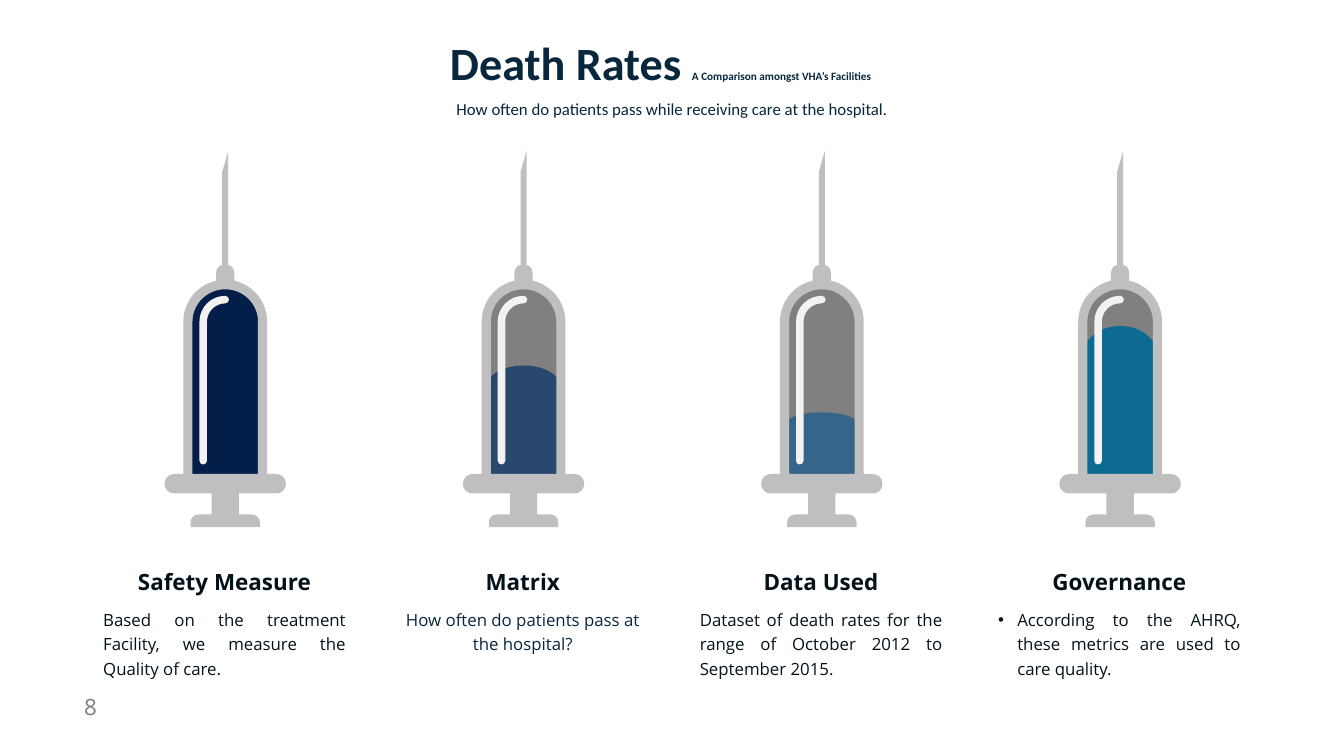
from dataclasses import dataclass
from itertools import chain, islice
from math import ceil, cos, radians, sin, tan

from lxml.etree import SubElement
from pptx import Presentation
from pptx.dml.color import RGBColor as RGB
from pptx.enum.text import MSO_ANCHOR as Anchor, MSO_AUTO_SIZE as AutoSize, PP_ALIGN as Align
from pptx.oxml.ns import qn
from pptx.util import Cm, Pt

COLORS = {
    "title": "08273C", "ink": "03121A", "number": "808080",
    "glass": "BFBFBF", "empty": "808080", "shine": "F2F2F2",
    "navy": "021E49", "indigo": "29486D", "steel": "356689", "teal": "0D6A90",
}
FIRST_AXIS, PITCH = 11.35, 15.03
SHOULDER, BORE_TOP, BORE_END = 16.21, 14.33, 24.0
BODY_WIDTH = 13.44
TEXT_SHIFT = -0.04

# A segment is one point (a line) or three points (a cubic curve).
Segment = tuple[tuple[float, float], ...]
Contour = list[Segment]


@dataclass
class Run:
    text: str
    size: float
    color: str
    font: str = "Open Sans"
    bold: bool = False


@dataclass
class Column:
    heading: str
    heading_width: float
    body: str
    body_height: float
    liquid: str
    level: float
    level_edge: float
    empty: str = "empty"
    align: Align = Align.JUSTIFY
    body_color: str = "ink"
    bullet: bool = False


COLUMNS = [
    Column("Safety Measure", 9.3,
           "Based on the treatment Facility, we measure the Quality of care.", 3.02,
           "navy", BORE_TOP, SHOULDER, empty="ink"),
    Column("Matrix", 4.29, "How often do patients pass at the hospital?", 3.02,
           "indigo", 18.42, 19.51, align=Align.CENTER, body_color="title"),
    Column("Data Used", 6.35,
           "Dataset of death rates for the range of October 2012 to September 2015.", 5.72,
           "steel", 20.78, 21.41),
    Column("Governance", 7.32,
           "According to the AHRQ, these metrics are used to care quality.", 4.27,
           "teal", 16.43, 17.91, bullet=True),
]


def arc(cx: float, cy: float, rx: float, ry: float, start: float, end: float) -> Contour:
    """Curves along an ellipse; angles in degrees run clockwise from the right."""
    count = ceil(abs(end - start) / 90)
    step = radians(end - start) / count
    k = 4 / 3 * tan(step / 4)

    def at(a: float, pull: float = 0) -> tuple[float, float]:
        return cx + rx * (cos(a) - pull * sin(a)), cy + ry * (sin(a) + pull * cos(a))

    angles = [radians(start) + i * step for i in range(count)]
    return [(at(angles[0]),)] + [(at(a, k), at(a + step, -k), at(a + step)) for a in angles]


def mirrored(contour: Contour) -> Contour:
    """The contour flipped about the axis and run backwards."""
    pts = ((-x, y) for x, y in reversed(list(chain(*contour))))
    sizes = [1] + [len(seg) for seg in reversed(contour[1:])]
    return [tuple(islice(pts, n)) for n in sizes]


def dome(half: float, top: float, edge: float, bottom: float) -> Contour:
    """A column with straight sides and a rounded top, centred on the axis."""
    return [((-half, bottom),), *arc(0, edge, half, edge - top, 180, 360), ((half, bottom),)]


def glass_outline() -> Contour:
    """Needle, barrel, flange and plunger: a right half, its mirror and the tip."""
    right = [
        *arc(0.15, 13.79, 0.31, 0.43, -90, 0),
        *arc(0, SHOULDER, 2.11, 2.11, -77.4, 0),
        ((2.11, 23.88),),
        *arc(2.57, 24.38, 0.49, 0.49, -90, 90),
        ((0.69, 24.87),), ((0.69, 25.93),),
        *arc(1.35, 26.33, 0.4, 0.4, -90, 0),
        ((1.75, 26.57),),
    ]
    return right + mirrored(right) + [((-0.15, 8.66),), ((0.15, 7.62),)]


def shine_outline() -> Contour:
    return [
        *arc(0, SHOULDER, 1.3, 1.3, 180, 270),
        *arc(0, 15.1, 0.19, 0.19, -90, 90),
        *arc(0, SHOULDER, 0.92, 0.92, 270, 180),
        *arc(-1.11, 23.22, 0.19, 0.19, 0, 180),
    ]


def draw_outline(shapes, axis: float, color: str, *contours: Contour) -> None:
    """Fill the contours as one shape; a second contour is a hole."""
    builder = None
    for contour in contours:
        pts = [(Cm(axis + x), Cm(y)) for x, y in chain(*contour)]
        if builder is None:
            builder = shapes.build_freeform(*pts[0], scale=1.0)
        else:
            builder.move_to(*pts[0])
        builder.add_line_segments(pts[1:], close=True)
    sp = builder.convert_to_shape()
    bend_curves(sp, contours)
    sp.shadow.inherit = False
    sp.fill.solid()
    sp.fill.fore_color.rgb = RGB.from_string(COLORS[color])
    sp.line.fill.background()


def bend_curves(sp, contours: tuple[Contour, ...]) -> None:
    """Merge the three lines of each curve segment into a cubic Bézier."""
    lines = iter(list(sp._element.iter(qn("a:lnTo"))))
    for seg in chain.from_iterable(contour[1:] for contour in contours):
        first, *rest = islice(lines, len(seg))
        if rest:
            first.tag = qn("a:cubicBezTo")
        for line in rest:
            first.append(line[0])
            line.getparent().remove(line)


def draw_syringe(s, axis: float, col: Column) -> None:
    shapes = s.shapes.add_group_shape().shapes
    draw_outline(shapes, axis, col.empty, dome(1.87, BORE_TOP, SHOULDER, BORE_END))
    draw_outline(shapes, axis, col.liquid, dome(1.87, col.level, col.level_edge, BORE_END))
    draw_outline(shapes, axis, "shine", shine_outline())
    draw_outline(shapes, axis, "glass", glass_outline(), dome(1.65, 14.58, SHOULDER, 23.88))


def add_text(s, box: tuple[float, float, float, float], runs: list[Run],
             align: Align = Align.CENTER, **frame):
    """Add a one-paragraph text box; frame holds text frame attributes."""
    tf = s.shapes.add_textbox(*map(Cm, box)).text_frame
    for name, value in {"word_wrap": True, "auto_size": AutoSize.SHAPE_TO_FIT_TEXT,
                        **frame}.items():
        setattr(tf, name, value)
    p = tf.paragraphs[0]
    p.alignment = align
    for run in runs:
        r = p.add_run()
        r.text = run.text
        for name, value in {"size": Pt(run.size), "name": run.font, "bold": run.bold}.items():
            setattr(r.font, name, value)
        r.font.color.rgb = RGB.from_string(COLORS[run.color])
    return p


def add_bullet(p) -> None:
    pPr = p._p.get_or_add_pPr()
    pPr.set("marL", str(Cm(0.97)))
    pPr.set("indent", str(Cm(-0.97)))
    SubElement(pPr, qn("a:buFont"), typeface="Arial")
    SubElement(pPr, qn("a:buChar"), char="•")


def draw_caption(s, axis: float, col: Column) -> None:
    center = axis + TEXT_SHIFT
    add_text(s, (center - col.heading_width / 2, 28.47, col.heading_width, 1.63),
             [Run(col.heading, 32, "ink", bold=True)],
             word_wrap=False, vertical_anchor=Anchor.MIDDLE)
    p = add_text(s, (center - BODY_WIDTH / 2, 30.2, BODY_WIDTH, col.body_height),
                 [Run(col.body, 24, col.body_color)], col.align,
                 margin_left=Cm(0.61), margin_right=Cm(0.61),
                 margin_top=Cm(0.3), margin_bottom=Cm(0.3))
    p.line_spacing = Pt(35)
    if col.bullet:
        add_bullet(p)


def main() -> None:
    prs = Presentation()
    prs.slide_width, prs.slide_height = Cm(67.72), Cm(38.1)
    s = prs.slides.add_slide(prs.slide_layouts[6])
    number = add_text(s, (3.99, 34.8, 2.16, 1.63), [Run("8", 32, "number")],
                      Align.LEFT, word_wrap=False)
    number.runs[0].font._element.set("spc", "300")
    add_text(s, (4.19, 1.63, 58.19, 3.07), [
        Run("Death Rates ", 66, "title", "Calibri", True),
        Run("A Comparison amongst VHA’s Facilities", 16, "title", "Calibri", True)])
    add_text(s, (22.63, 4.83, 22.45, 1.27),
             [Run("How often do patients pass while receiving care at the hospital.",
                  24, "title", "Calibri")], word_wrap=False)
    for i, col in enumerate(COLUMNS):
        axis = FIRST_AXIS + i * PITCH
        draw_syringe(s, axis, col)
        draw_caption(s, axis, col)
    prs.save("out.pptx")


if __name__ == "__main__":
    main()
